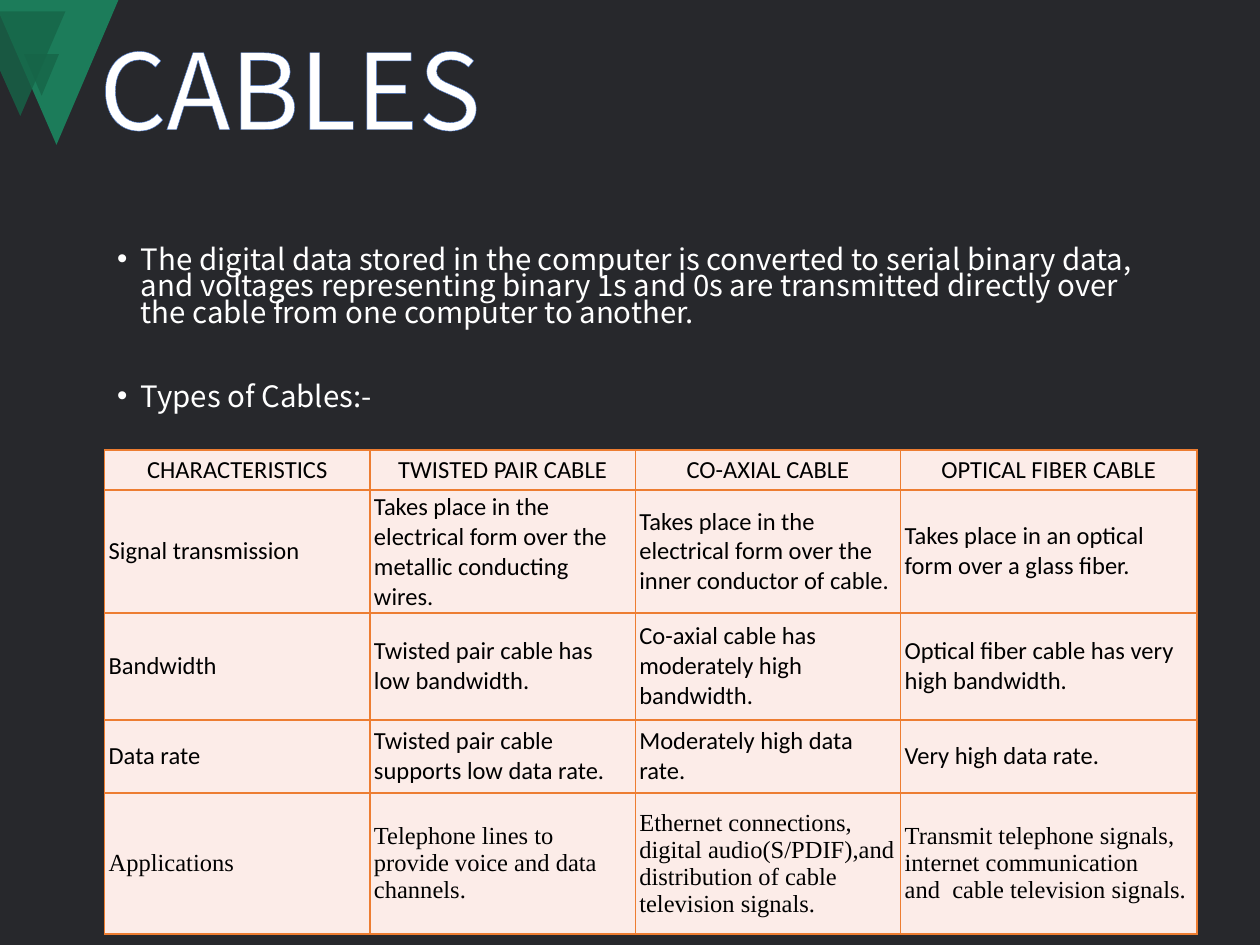
import pptx
import pptx.util
import pptx.dml.color
import pptx.enum.text
import pptx.oxml
import pptx.oxml.ns
from dataclasses import dataclass
from pptx.util import Cm, Pt

PP = pptx.enum.text.PP_ALIGN
ANCHOR = pptx.enum.text.MSO_ANCHOR


@dataclass(frozen=True)
class Theme:
    background: str = "27282C"
    green: str = "1C7C5A"
    dark_green: str = "166548"
    white: str = "FFFFFF"
    black: str = "000000"
    outline: str = "4472C4"
    border: str = "ED7D31"
    cell: str = "FCECE8"
    heading_font: str = "Noto Sans CJK KR"
    table_font: str = "Calibri"
    serif_font: str = "Times New Roman"
    title_size: float = 60
    body_size: float = 16.8
    table_size: float = 14


THEME = Theme()

BULLETS = [
    "The digital data stored in the computer is converted to serial binary data, "
    "and voltages representing binary 1s and 0s are transmitted directly over "
    "the cable from one computer to another. ",
    "Types of Cables:-",
]
CABLES = [
    ["CHARACTERISTICS", "TWISTED PAIR CABLE", "CO-AXIAL CABLE", "OPTICAL FIBER CABLE"],
    ["Signal transmission",
     "Takes place in the electrical form over the metallic conducting wires.",
     "Takes place in the electrical form over the inner conductor of cable.",
     "Takes place in an optical form over a glass fiber."],
    ["Bandwidth", "Twisted pair cable has low bandwidth.",
     "Co-axial cable has moderately high bandwidth.",
     "Optical fiber cable has very high bandwidth."],
    ["Data rate", "Twisted pair cable supports low data rate.",
     "Moderately high data rate.", "Very high data rate."],
    ["Applications", "Telephone lines to provide voice and data channels.",
     "Ethernet connections, digital audio(S/PDIF),and distribution of cable "
     "television signals.",
     "Transmit telephone signals, internet communication and\u00a0\u00a0cable "
     "television signals."],
]
COLUMN_WIDTHS = [5.35, 5.35, 5.35, 5.97]
ROW_HEIGHTS = [0.81, 2.16, 2.16, 1.47, 2.85]


def rgb(color):
    return pptx.dml.color.RGBColor.from_string(color)


def line_xml(tag, color, width):
    return pptx.oxml.parse_xml(
        f'<a:{tag} {pptx.oxml.ns.nsdecls("a")} w="{int(Pt(width))}">'
        f'<a:solidFill><a:srgbClr val="{color}"/></a:solidFill></a:{tag}>')


def format_runs(p, size, font, color):
    for r in p.runs:
        r.font.size = Pt(size)
        r.font.name = font
        r.font.color.rgb = rgb(color)


def add_polygon(shapes, points, color, opacity=100):
    corners = [(Cm(x), Cm(y)) for x, y in points]
    builder = shapes.build_freeform(*corners[0])
    builder.add_line_segments(corners[1:], close=True)
    sp = builder.convert_to_shape()
    sp.shadow.inherit = False
    sp.line.fill.background()
    sp.fill.solid()
    sp.fill.fore_color.rgb = rgb(color)
    if opacity < 100:
        clr = sp.fill._xPr.find(".//" + pptx.oxml.ns.qn("a:srgbClr"))
        clr.append(pptx.oxml.parse_xml(
            f'<a:alpha {pptx.oxml.ns.nsdecls("a")} val="{opacity * 1000}"/>'))


def add_corner(s):
    group = s.shapes.add_group_shape()
    add_polygon(group.shapes, [(0, -0.05), (2.41, -0.05), (1.14, 2.92), (0, 0.3)],
                THEME.green)
    add_polygon(group.shapes, [(0.48, 1.09), (1.19, 1.09), (0.84, 1.93)],
                THEME.dark_green, 80)
    add_polygon(group.shapes, [(0, 0.23), (1.32, 0.23), (0.41, 2.34), (0, 1.42)],
                THEME.dark_green, 80)
    # Keep the decoration behind the title
    s.shapes._spTree.insert(2, group._element)


def set_title(s, text):
    sp = s.shapes.title
    sp.left, sp.top, sp.width, sp.height = Cm(1.75), Cm(1.02), Cm(21.9), Cm(3.68)
    tf = sp.text_frame
    tf.text = text
    tf.auto_size = pptx.enum.text.MSO_AUTO_SIZE.NONE
    tf.vertical_anchor = ANCHOR.MIDDLE
    p = tf.paragraphs[0]
    p.alignment = PP.LEFT
    p.line_spacing = 0.9
    format_runs(p, THEME.title_size, THEME.heading_font, THEME.white)
    for r in p.runs:
        r.font._element.insert(0, line_xml("ln", THEME.outline, 0.8))


def add_bullets(s, items):
    tf = s.shapes.add_textbox(Cm(2.11), Cm(4.9), Cm(21.41), Cm(4.17)).text_frame
    tf.word_wrap = True
    for i, text in enumerate(items):
        p = tf.add_paragraph() if i else tf.paragraphs[0]
        p.text = text
        p.line_spacing = 0.75
        p.space_before = Pt(33 if i else 0)
        format_runs(p, THEME.body_size, THEME.heading_font, THEME.white)
        pPr = p._p.get_or_add_pPr()
        pPr.set("marL", str(int(Cm(0.48))))
        pPr.set("indent", str(int(Cm(-0.48))))
        pPr.append(pptx.oxml.parse_xml(
            f'<a:buFont {pptx.oxml.ns.nsdecls("a")} typeface="Arial"/>'))
        pPr.append(pptx.oxml.parse_xml(
            f'<a:buChar {pptx.oxml.ns.nsdecls("a")} char="\u2022"/>'))


def fill_cell(cell, text, font, header):
    cell.text_frame.text = text
    cell.vertical_anchor = ANCHOR.MIDDLE
    cell.margin_left = cell.margin_right = Cm(0.05 if header else 0.08)
    cell.margin_top = cell.margin_bottom = Cm(0.05)
    cell.fill.solid()
    cell.fill.fore_color.rgb = rgb(THEME.cell)
    p = cell.text_frame.paragraphs[0]
    p.alignment = PP.CENTER if header else PP.LEFT
    format_runs(p, THEME.table_size, font, THEME.black)
    for r in p.runs:
        r.font.bold = False
    tcPr = cell._tc.get_or_add_tcPr()
    for i, tag in enumerate(("lnL", "lnR", "lnT", "lnB")):
        tcPr.insert(i, line_xml(tag, THEME.border, 1))


def add_cable_table(s, rows):
    table = s.shapes.add_table(
        len(rows), len(rows[0]), Cm(2.11), Cm(9.07),
        Cm(sum(COLUMN_WIDTHS)), Cm(sum(ROW_HEIGHTS))).table
    table.horz_banding = False
    for column, width in zip(table.columns, COLUMN_WIDTHS):
        column.width = Cm(width)
    for i, (row, height) in enumerate(zip(table.rows, ROW_HEIGHTS)):
        row.height = Cm(height)
        font = THEME.serif_font if i == len(rows) - 1 else THEME.table_font
        for cell, text in zip(row.cells, rows[i]):
            fill_cell(cell, text, font, header=i == 0)


def main():
    prs = pptx.Presentation()
    prs.slide_width, prs.slide_height = Cm(25.4), Cm(19.05)
    s = prs.slides.add_slide(prs.slide_layouts[5])
    s.background.fill.solid()
    s.background.fill.fore_color.rgb = rgb(THEME.background)

    # Decoration and heading
    add_corner(s)
    set_title(s, "CABLES\v")

    # Explanation and comparison
    add_bullets(s, BULLETS)
    add_cable_table(s, CABLES)

    prs.save("out.pptx")


main()
